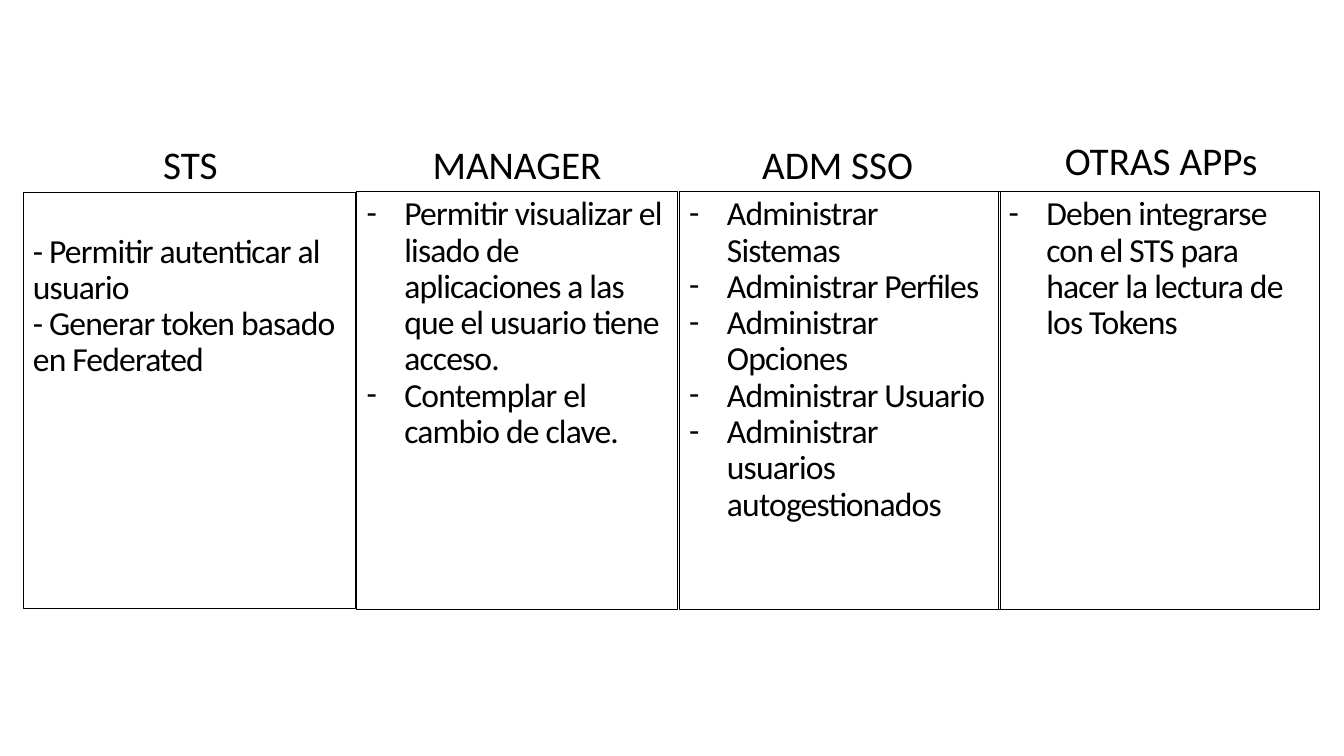
from lxml.etree import SubElement
from pptx import Presentation
from pptx.dml.color import RGBColor
from pptx.enum.shapes import MSO_SHAPE
from pptx.enum.text import MSO_ANCHOR, PP_ALIGN
from pptx.oxml.ns import qn
from pptx.util import Cm, Pt

COLORS = {"ink": "000000"}

# Content: heading, heading left and top, box left, top, width, height (cm),
# bulleted or typed dashes, top inset, items
COLUMNS = [
    ("STS", (0.61, 3.4), (0.58, 4.85, 8.38, 10.49), False, 1.05, [
        "- Permitir autenticar al usuario",
        "- Generar token basado en Federated",
    ]),
    ("MANAGER", (8.99, 3.4), (8.99, 4.83, 8.08, 10.52), True, 0.13, [
        "Permitir visualizar el lisado de aplicaciones a las que el usuario "
        "tiene acceso.",
        "Contemplar el cambio de clave.",
    ]),
    ("ADM SSO", (17.07, 3.4), (17.12, 4.83, 8.08, 10.52), True, 0.13, [
        "Administrar Sistemas",
        "Administrar Perfiles",
        "Administrar Opciones",
        "Administrar Usuario",
        "Administrar usuarios autogestionados",
    ]),
    ("OTRAS APPs", (25.22, 3.3), (25.17, 4.83, 8.08, 10.52), True, 0.13, [
        "Deben integrarse con el STS para hacer la lectura de los Tokens",
    ]),
]
HEADING_HEIGHT = 1.45
HANGING_INDENT = Cm(0.95)
INK = RGBColor.from_string(COLORS["ink"])
HEADING_FONT = {"name": "Calibri", "size": Pt(28)}
ITEM_FONT = {"name": "Calibri", "size": Pt(24)}
ITEM_FORMAT = {"alignment": PP_ALIGN.LEFT, "line_spacing": 0.9}


def add_span(para, text, font):
    span = para.add_run()
    span.text = text
    for name, value in font.items():
        setattr(span.font, name, value)
    span.font.color.rgb = INK
    return span


def add_dash(para):
    properties = para._p.get_or_add_pPr()
    properties.set("marL", str(HANGING_INDENT))
    properties.set("indent", str(-HANGING_INDENT))
    SubElement(properties, qn("a:buFont"), typeface="Calibri")
    SubElement(properties, qn("a:buChar"), char="-")


def add_heading(page, text, left, top, width):
    box = page.shapes.add_textbox(Cm(left), Cm(top), Cm(width), Cm(HEADING_HEIGHT))
    box.text_frame.word_wrap = True
    para = box.text_frame.paragraphs[0]
    para.alignment = PP_ALIGN.CENTER
    add_span(para, text, HEADING_FONT)


def add_list(page, area, bulleted, inset, items):
    box = page.shapes.add_shape(MSO_SHAPE.RECTANGLE, *map(Cm, area))
    box.shadow.inherit = False
    box.fill.background()
    box.line.color.rgb = INK
    box.line.width = Pt(0.5)
    frame = box.text_frame
    frame_format = {"word_wrap": True, "vertical_anchor": MSO_ANCHOR.TOP,
                    "margin_top": Cm(inset)}
    for name, value in frame_format.items():
        setattr(frame, name, value)
    for index, item in enumerate(items):
        para = frame.add_paragraph() if index else frame.paragraphs[0]
        for name, value in ITEM_FORMAT.items():
            setattr(para, name, value)
        if bulleted:
            add_dash(para)
        span = add_span(para, item, ITEM_FONT)
        span._r.get_or_add_rPr().set("spc", "-60")


def main():
    deck = Presentation()
    deck.slide_width, deck.slide_height = Cm(33.87), Cm(19.05)
    page = deck.slides.add_slide(deck.slide_layouts[6])

    # One heading above one framed list per column
    for heading, (left, top), area, bulleted, inset, items in COLUMNS:
        add_list(page, area, bulleted, inset, items)
        add_heading(page, heading, left, top, area[2])

    deck.save("out.pptx")


if __name__ == "__main__":
    main()
